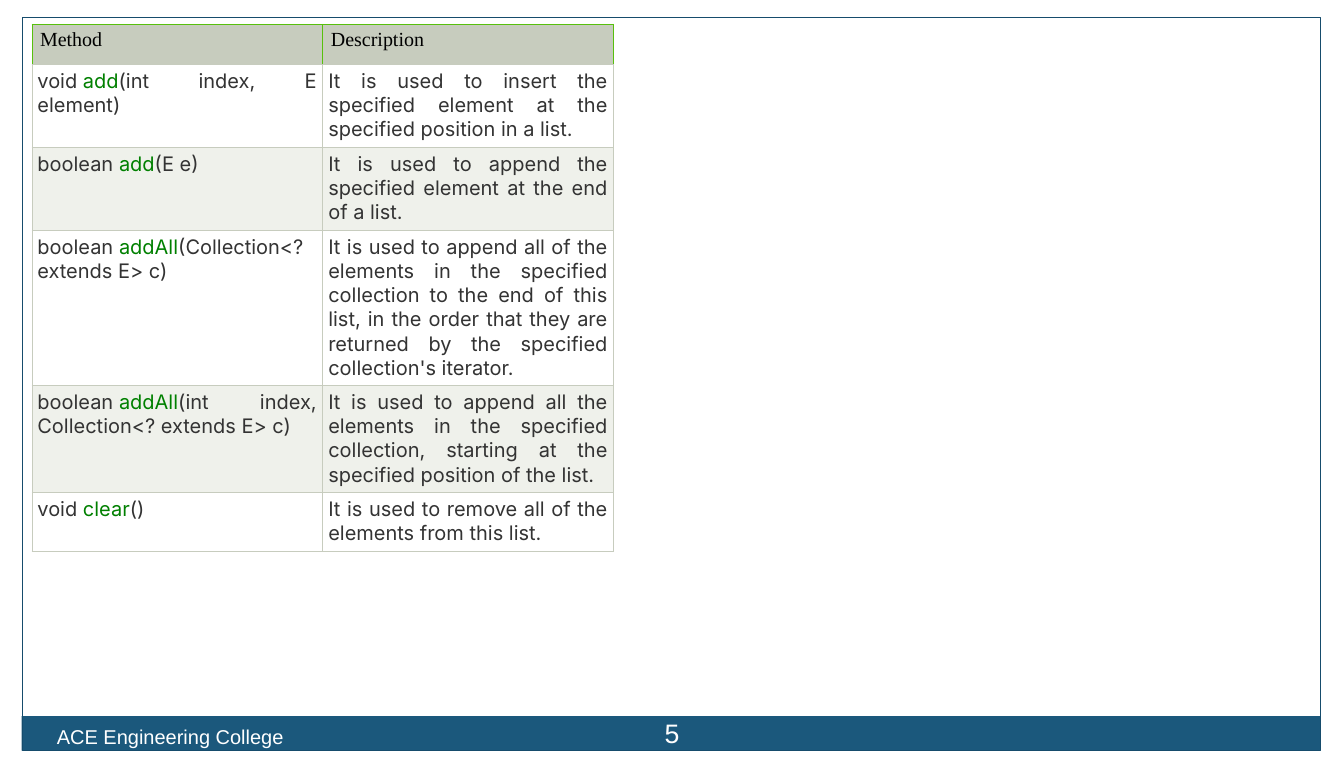
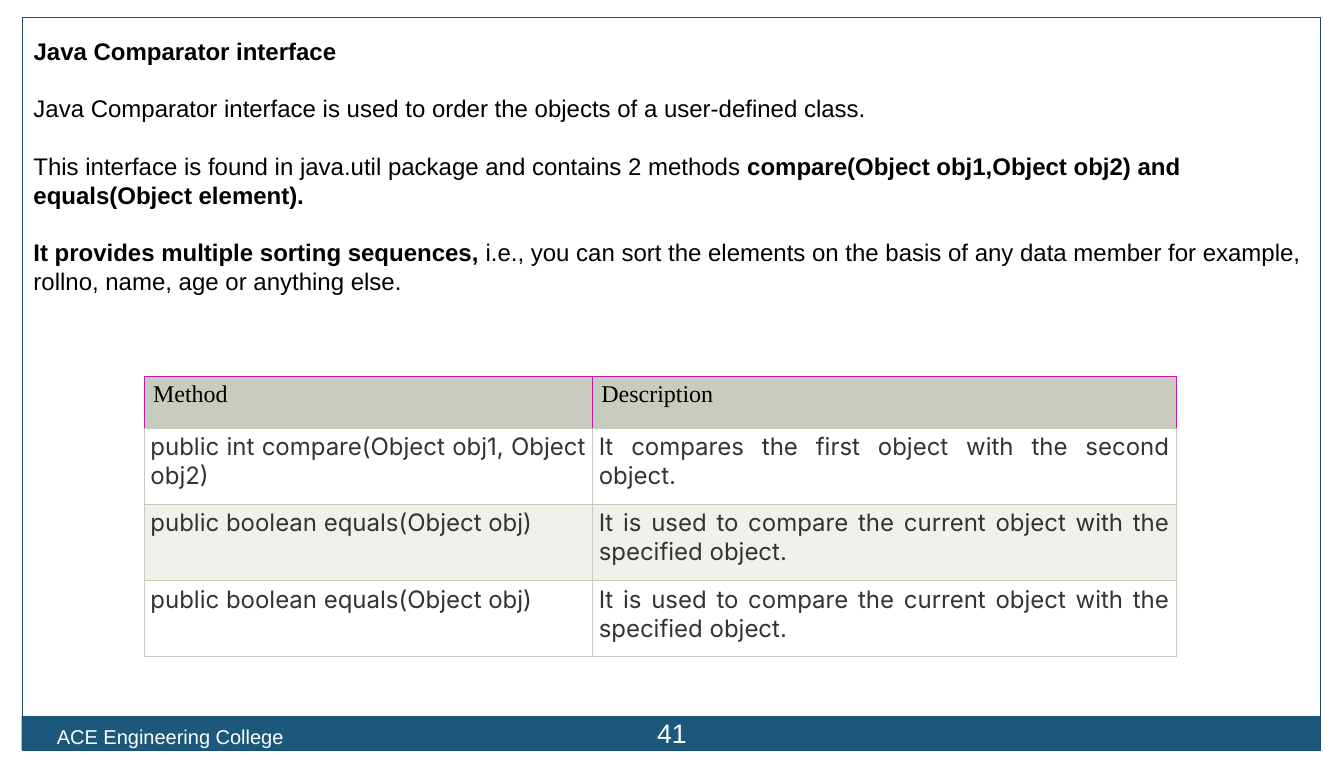
from lxml import etree
from pptx import Presentation
from pptx import util as u
from pptx.dml.color import RGBColor
from pptx.enum import shapes, text
from pptx.oxml.ns import qn

COLS, ROWS = 56, 32
BAND, FRAME, WHITE, BLACK = "1B587C", "164C6C", "FFFFFF", "000000"
RULE, STRIPE, INK, GREEN = "C7CCBE", "EFF1EB", "333333", "008000"
NBSP = chr(160)

prs = Presentation()
prs.slide_width, prs.slide_height = u.Inches(14), u.Inches(8)
CELL = prs.slide_width / COLS


def grid(*cells):
    return [u.Emu(round(n * CELL)) for n in cells]


def write(p, marked, font, size, hue, accent=None, bold=False):
    for i, part in enumerate(marked.split("|")):
        if part:
            r = p.add_run()
            r.text = part
            r.font.name, r.font.size = font, u.Pt(size)
            r.font.bold = bold and i % 2 == 1
            r.font.color.rgb = RGBColor.from_string(accent if accent and i % 2 else hue)


pages = [
    {
        "number": "5", "size": 15, "edge": "58C00D", "at": (1.32, 1),
        "cols": (12.12, 12.12), "rows": (1.68, 3.46, 3.46, 6.46, 4.45, 2.46),
        "head_inset": 0.35, "inset": 0.24,
        "cells": [
            ("Method", "Description"),
            (f"void{NBSP}|add|(int index, E element)",
             "It is used to insert the specified element at the specified position in a list."),
            (f"boolean{NBSP}|add|(E e)",
             "It is used to append the specified element at the end of a list."),
            (f"boolean{NBSP}|addAll|(Collection<? extends E> c)",
             "It is used to append all of the elements in the specified collection to the end of "
             "this list, in the order that they are returned by the specified collection's iterator."),
            (f"boolean{NBSP}|addAll|(int index, Collection<? extends E> c)",
             "It is used to append all the elements in the specified collection, starting at the "
             "specified position of the list."),
            (f"void{NBSP}|clear|()", "It is used to remove all of the elements from this list."),
        ],
    },
    {
        "number": "41", "size": 18, "edge": "C81BAA", "at": (6, 15.68),
        "cols": (18.68, 24.32), "rows": (2.15, 3.17, 3.18, 3.18),
        "head_inset": 0.38, "inset": 0.27,
        "title": "Java Comparator interface",
        "body": [
            "Java Comparator interface is used to order the objects of a user-defined class.",
            "This interface is found in java.util package and contains 2 methods "
            "|compare(Object obj1,Object obj2) and equals(Object element).",
            "|It provides multiple sorting sequences, |i.e., you can sort the elements on the basis "
            "of any data member for example, rollno, name, age or anything else.",
        ],
        "cells": [
            ("Method", "Description"),
            ("public int compare(Object obj1, Object obj2)",
             "It compares the first object with the second object."),
            ("public boolean equals(Object obj)",
             "It is used to compare the current object with the specified object."),
            ("public boolean equals(Object obj)",
             "It is used to compare the current object with the specified object."),
        ],
    },
]

for page in pages:
    s = prs.slides.add_slide(prs.slide_layouts[5 if "title" in page else 6])

    for box, fill, line in [
        ((0, 0, COLS, 0.72), WHITE, None),
        ((COLS - 0.92, 0, 0.92, ROWS), WHITE, None),
        ((0, 0, 0.92, ROWS), WHITE, None),
        ((0.9, 29.84, 54.12, 1.44), BAND, None),
        ((0.92, 0.72, 54.1, 30.56), None, FRAME),
    ]:
        sp = s.shapes.add_shape(shapes.MSO_SHAPE.RECTANGLE, *grid(*box))
        sp.shadow.inherit = False
        if fill:
            sp.fill.solid()
            sp.fill.fore_color.rgb = RGBColor.from_string(fill)
            sp.line.fill.background()
        else:
            sp.fill.background()
            sp.line.color.rgb = RGBColor.from_string(line)
            sp.line.width = u.Pt(0.75)

    for box, label, size, inset, anchor, align in [
        ((1.86, 29.94, 21.92, 1.72), "ACE Engineering College", 15, 0.51,
         text.MSO_ANCHOR.TOP, text.PP_ALIGN.LEFT),
        ((26.14, 29.52, 3.72, 2.04), page["number"], 20, 0.24,
         text.MSO_ANCHOR.MIDDLE, text.PP_ALIGN.CENTER),
    ]:
        tf = s.shapes.add_textbox(*grid(*box)).text_frame
        tf.word_wrap = True
        tf.vertical_anchor = anchor
        tf.margin_left, tf.margin_right, tf.margin_top, tf.margin_bottom = grid(
            inset, inset, 0.25, 0.25)
        tf.paragraphs[0].alignment = align
        write(tf.paragraphs[0], label, "Arial", size, WHITE)

    if "title" in page:
        title = s.shapes.title
        title.left, title.top, title.width, title.height = grid(1, 1.32, 53.68, 1.6)
        tf = title.text_frame
        tf.auto_size = text.MSO_AUTO_SIZE.NONE
        tf.vertical_anchor = text.MSO_ANCHOR.TOP
        tf.paragraphs[0].alignment = text.PP_ALIGN.LEFT
        write(tf.paragraphs[0], "|" + page["title"], "Arial", 18, BLACK, bold=True)

        tf = s.shapes.add_textbox(*grid(1, 3.72, 53.68, 9)).text_frame
        tf.word_wrap = True
        for i, line in enumerate(page["body"]):
            p = tf.add_paragraph() if i else tf.paragraphs[0]
            if i:
                p.space_before = u.Pt(21.6)
            write(p, line, "Arial", 18, BLACK, bold=True)

    cols, rows = page["cols"], page["rows"]
    tbl = s.shapes.add_table(len(rows), len(cols),
                             *grid(*page["at"], sum(cols), sum(rows))).table
    tbl.first_row = tbl.horz_banding = False
    for column, width in zip(tbl.columns, grid(*cols)):
        column.width = width
    for row, height in zip(tbl.rows, grid(*rows)):
        row.height = height
    for i, entries in enumerate(page["cells"]):
        head = i == 0
        inset = page["head_inset" if head else "inset"]
        for j, entry in enumerate(entries):
            c = tbl.cell(i, j)
            c.margin_left, c.margin_right, c.margin_top, c.margin_bottom = grid(
                inset, inset, 0.2, 0.2)
            tcPr = c._tc.get_or_add_tcPr()
            for side in ("lnL", "lnR", "lnT", "lnB"):
                ln = etree.SubElement(tcPr, qn("a:" + side), w=str(u.Pt(0.28)))
                solid = etree.SubElement(ln, qn("a:solidFill"))
                hue = page["edge"] if head and side != "lnB" else RULE
                etree.SubElement(solid, qn("a:srgbClr"), val=hue)
            c.fill.solid()
            c.fill.fore_color.rgb = RGBColor.from_string(
                RULE if head else WHITE if i % 2 else STRIPE)
            p = c.text_frame.paragraphs[0]
            p.alignment = text.PP_ALIGN.LEFT if head else text.PP_ALIGN.JUSTIFY
            write(p, entry, "Times New Roman" if head else "Inter", page["size"],
                  BLACK if head else INK, GREEN)

prs.save("out.pptx")
